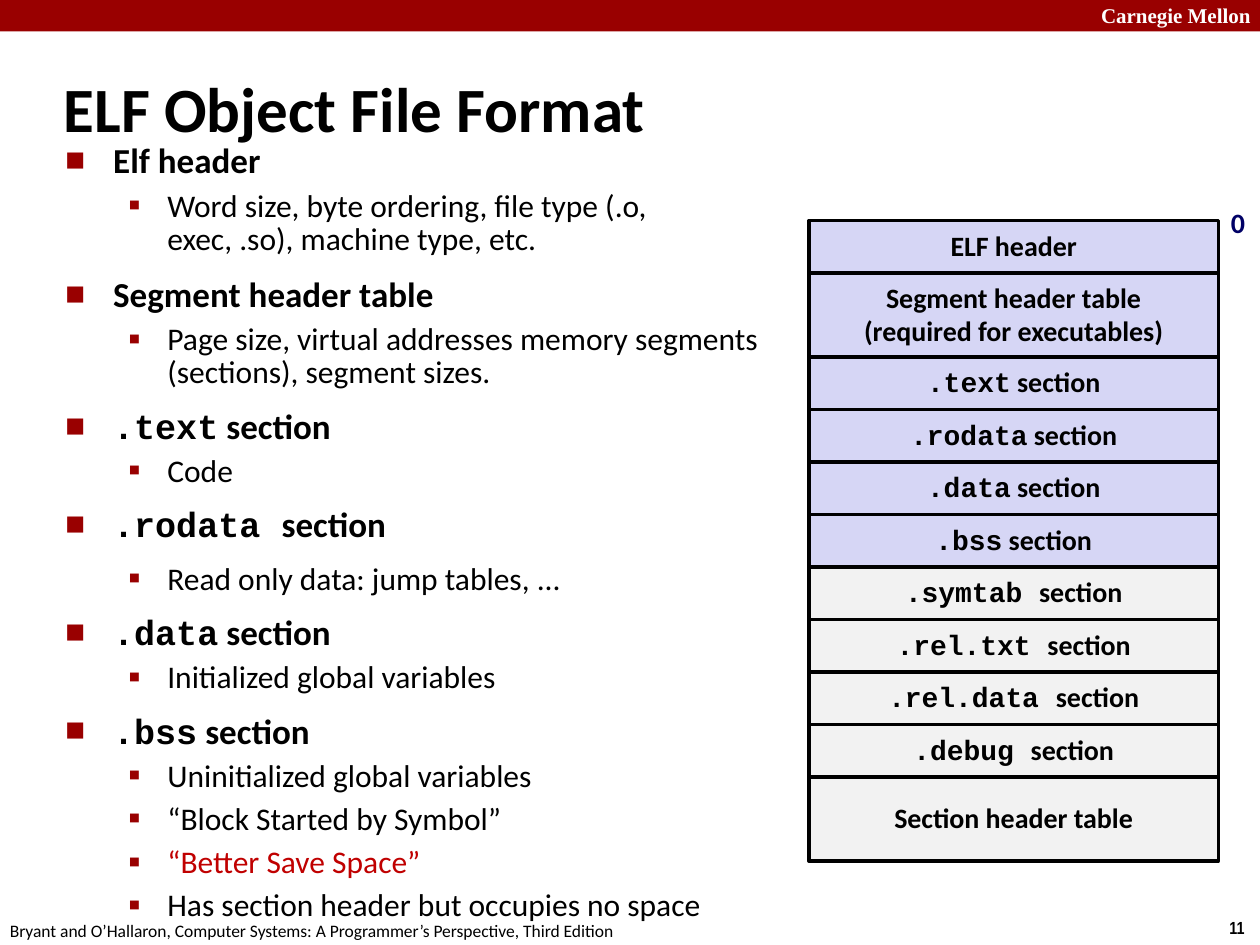
"""Build the slide on the ELF object file format."""
from lxml import etree
from pptx import Presentation
from pptx.dml.color import RGBColor
from pptx.enum.shapes import MSO_SHAPE
from pptx.enum.text import MSO_ANCHOR, PP_ALIGN
from pptx.oxml.ns import qn
from pptx.util import Inches, Pt

RECTANGLE = MSO_SHAPE.RECTANGLE
MIDDLE, TOP = MSO_ANCHOR.MIDDLE, MSO_ANCHOR.TOP
CENTER, LEFT = PP_ALIGN.CENTER, PP_ALIGN.LEFT

COLORS = {
    "black": "000000", "white": "FFFFFF", "banner": "990000", "emphasis": "C00000",
    "loaded": "D6D6F5", "unloaded": "F2F2F2", "offset": "000066",
}
TEXT_FONT, CODE_FONT = "Calibri", "Courier New"

LABELS = [
    ("Carnegie Mellon", (8.64, -0.03, 1.43, 0.3), "Times New Roman", 12, "white", True, True),
    ("11", (9.66, 7.23, 0.34, 0.27), "Arial Narrow", 10, "black", True, False),
    ("Bryant and O’Hallaron, Computer Systems: A Programmer’s Perspective, Third Edition",
     (-0.02, 7.25, 5.08, 0.27), TEXT_FONT, 10, "black", False, False),
    ("ELF Object File Format", (0.41, 0.42, 9.53, 0.86), TEXT_FONT, 36, "black", True, True),
    ("0", (9.67, 1.58, 0.31, 0.37), TEXT_FONT, 16, "offset", True, False),
]

OUTLINE = [
    ("", "Elf header", ["Word size, byte ordering, file type (.o, exec, .so), machine type, etc."]),
    ("", "Segment header table",
     ["Page size, virtual addresses memory segments (sections), segment sizes."]),
    (".text", " section", ["Code"]),
    (".rodata ", "section", ["Read only data: jump tables, ..."]),
    (".data", " section", ["Initialized global variables"]),
    (".bss", " section", [
        "Uninitialized global variables",
        "“Block Started by Symbol”",
        "“Better Save Space”",
        "Has section header but occupies no space",
    ]),
]
EMPHASIZED = "“Better Save Space”"
WIDELY_SPACED = "Read only data: jump tables, ..."

SECTIONS = [
    ([("", "ELF header")], "loaded", 5),
    ([("", "Segment header table"), ("", "(required for executables)")], "loaded", 8),
    ([(".text", " section")], "loaded", 5),
    ([(".rodata", " section")], "loaded", 5),
    ([(".data", " section")], "loaded", 5),
    ([(".bss", " section")], "loaded", 5),
    ([(".symtab ", "section")], "unloaded", 5),
    ([(".rel.txt ", "section")], "unloaded", 5),
    ([(".rel.data ", "section")], "unloaded", 5),
    ([(".debug ", "section")], "unloaded", 5),
    ([("", "Section header table")], "unloaded", 8),
]
SECTION_LEFT, SECTION_TOP, SECTION_WIDTH = 6.42, 1.75, 3.25
ROW_UNIT = 1 / 12

BULLETS = [
    {"character": "■", "percent": 60, "margin": 0.38, "hanging": 0.38},
    {"character": "▪", "percent": 110, "margin": 0.81, "hanging": 0.31},
]


def color(name):
    return RGBColor.from_string(COLORS[name])


def set_font(font, size, color_name, bold, name=None):
    font.size, font.bold = Pt(size), bold
    font.color.rgb = color(color_name)
    if name:
        font.name = name


def add_runs(paragraph, code, text):
    for content, font_name in ((code, CODE_FONT), (text, TEXT_FONT)):
        if content:
            run = paragraph.add_run()
            run.text = content
            run.font.name = font_name


def next_paragraph(frame, index):
    return frame.add_paragraph() if index else frame.paragraphs[0]


def set_bullet(paragraph, level):
    bullet = BULLETS[level]
    properties = paragraph._p.get_or_add_pPr()
    properties.set("marL", str(Inches(bullet["margin"])))
    properties.set("indent", str(-Inches(bullet["hanging"])))
    bullet_color = etree.SubElement(properties, qn("a:buClr"))
    etree.SubElement(bullet_color, qn("a:srgbClr"), val=COLORS["banner"])
    etree.SubElement(properties, qn("a:buSzPct"), val=str(bullet["percent"] * 1000))
    etree.SubElement(properties, qn("a:buFont"), typeface=TEXT_FONT)
    etree.SubElement(properties, qn("a:buChar"), char=bullet["character"])


def add_rectangle(slide, box, fill):
    shape = slide.shapes.add_shape(RECTANGLE, *map(Inches, box))
    shape.shadow.inherit = False
    shape.fill.solid()
    shape.fill.fore_color.rgb = color(fill)
    return shape


def add_label(slide, text, box, font_name, size, color_name, bold, wrap):
    frame = slide.shapes.add_textbox(*map(Inches, box)).text_frame
    frame.word_wrap = wrap
    frame.vertical_anchor = MIDDLE if size == 36 else TOP
    paragraph = frame.paragraphs[0]
    paragraph.text = text
    paragraph.alignment = LEFT
    set_font(paragraph.font, size, color_name, bold, font_name)


def add_outline(slide):
    frame = slide.shapes.add_textbox(*map(Inches, (0.42, 1.11, 5.85, 5.89))).text_frame
    frame.word_wrap = True
    lines = []
    for code, heading, details in OUTLINE:
        lines.append((0, code, heading))
        lines += [(1, "", detail) for detail in details]
    for index, (level, code, text) in enumerate(lines):
        paragraph = next_paragraph(frame, index)
        add_runs(paragraph, code, text)
        set_bullet(paragraph, level)
        paragraph.level = level
        wide = level == 0 or text == WIDELY_SPACED
        if code or text == WIDELY_SPACED:
            paragraph.line_spacing = 0.8
        else:
            paragraph.line_spacing = 0.88 if level else 0.83
        if index:
            paragraph.space_before = Pt(12.5 if wide else 5.6)
        set_font(paragraph.font, 18 if level else 20,
                 "emphasis" if text == EMPHASIZED else "black", level == 0)


def add_sections(slide):
    top = SECTION_TOP
    for lines, fill, units in SECTIONS:
        height = units * ROW_UNIT
        shape = add_rectangle(slide, (SECTION_LEFT, top, SECTION_WIDTH, height), fill)
        shape.line.color.rgb = color("black")
        shape.line.width = Pt(2)
        frame = shape.text_frame
        frame.word_wrap = False
        frame.vertical_anchor = MIDDLE
        for index, (code, text) in enumerate(lines):
            paragraph = next_paragraph(frame, index)
            add_runs(paragraph, code, text)
            paragraph.alignment = CENTER
            paragraph.line_spacing = 0.94 if code else 0.98
            set_font(paragraph.font, 16, "black", True)
        top += height


def main():
    presentation = Presentation()
    presentation.slide_width, presentation.slide_height = Inches(10), Inches(7.5)
    slide = presentation.slides.add_slide(presentation.slide_layouts[6])
    banner = add_rectangle(slide, (0, 0, 10, 0.25), "banner")
    banner.line.fill.background()
    for label in LABELS:
        add_label(slide, *label)
    add_outline(slide)
    add_sections(slide)
    presentation.save("out.pptx")


if __name__ == "__main__":
    main()
